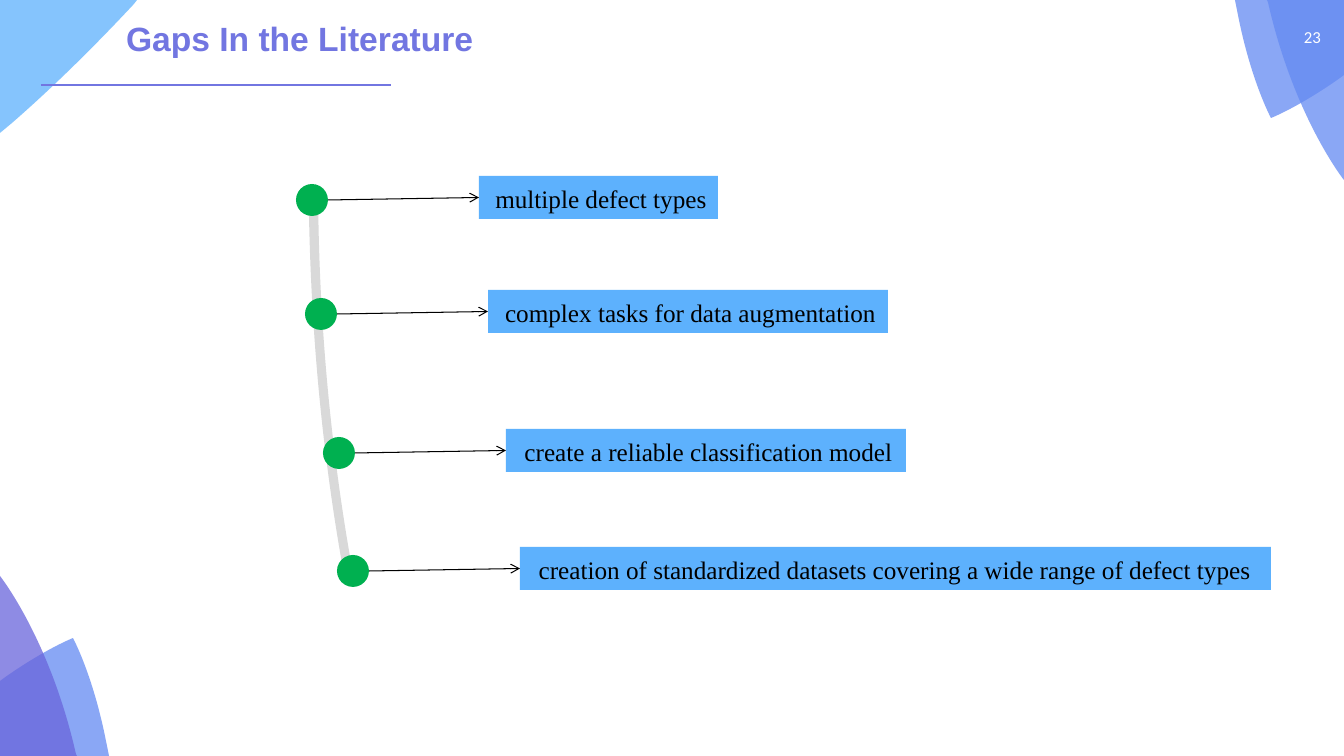
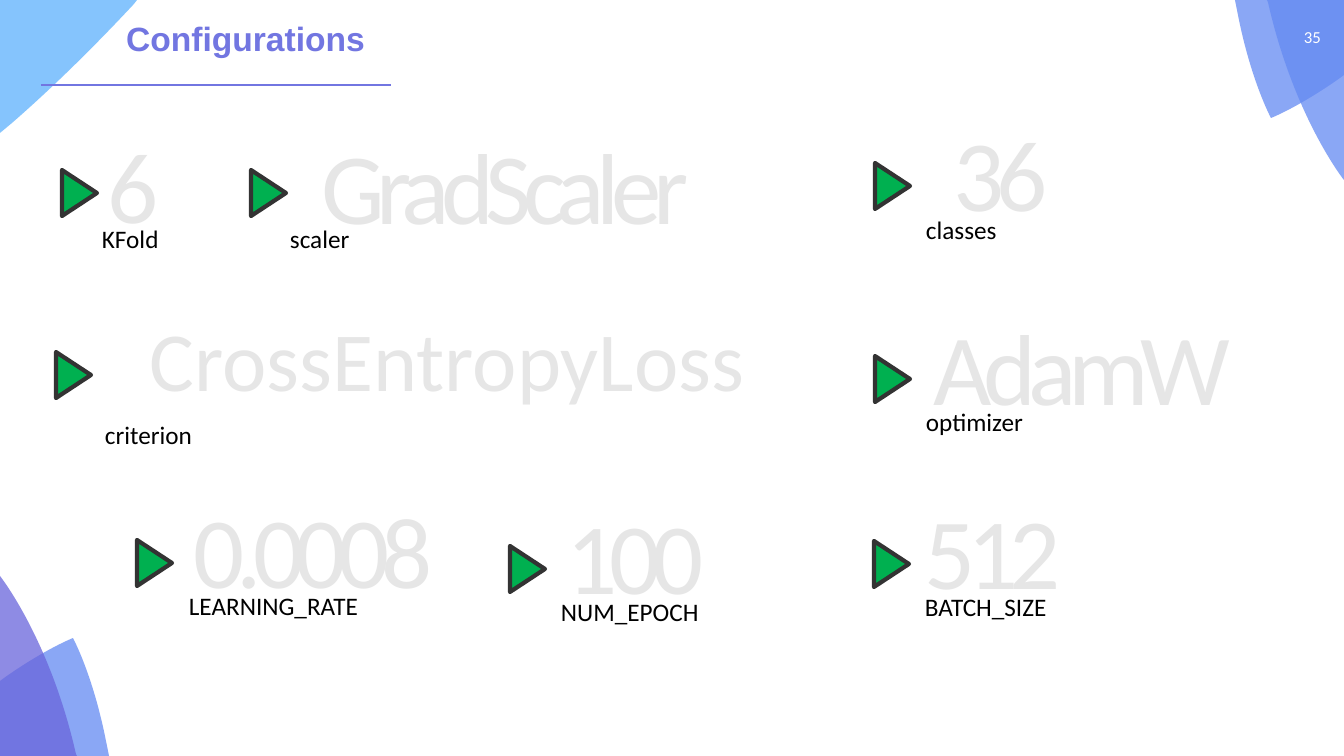
from lxml.etree import SubElement
from pptx import Presentation
from pptx.dml.color import RGBColor
from pptx.enum.shapes import MSO_CONNECTOR, MSO_SHAPE
from pptx.enum.text import MSO_ANCHOR, MSO_AUTO_SIZE, PP_ALIGN
from pptx.oxml.ns import qn
from pptx.util import Emu, Pt

# Scale and page
EMU_PER_PX = 914400 / 100.8
PAGE_W, PAGE_H = 1344, 756

# Colours
SKY = RGBColor(0x5D, 0xB1, 0xFD)
BLUE = RGBColor(0x64, 0x8A, 0xF2)
VIOLET = RGBColor(0x69, 0x65, 0xDB)
TITLE = RGBColor(0x72, 0x76, 0xE1)
GREEN = RGBColor(0x00, 0xB0, 0x50)
TRACK = RGBColor(0xD9, 0xD9, 0xD9)
PALE = RGBColor(0xE6, 0xE6, 0xE6)
DARK = RGBColor(0x33, 0x33, 0x33)
BLACK = RGBColor(0, 0, 0)
WHITE = RGBColor(0xFF, 0xFF, 0xFF)

# Outlines: a start point, then segments of one point (line) or three (curve)
OUTER_PETAL = [(1235, 0), [(1344, 0)], [(1344, 75)], [(1340, 78)],
               [(1299, 107), (1271, 118), (1271, 118)],
               [(1271, 118), (1251, 81), (1238, 15)]]
INNER_PETAL = [(1267, 0), [(1344, 0)], [(1344, 179)], [(1344, 180)],
               [(1344, 180), (1294, 117), (1268, 2)]]
CORNER = [(0, 133), [(12, 123)], [(51, 89), (92, 49), (134, 4)],
          [(137, 0)], [(0, 0)]]
# The track is outlined before its turn
ARC = [(302, 578), [(301, 578), (300, 579), (300, 579)],
       [(297, 577), (296, 572), (298, 567)],
       [(327, 448), (347, 325), (356, 198)],
       [(357, 193), (359, 189), (361, 190)],
       [(364, 192), (366, 194), (365, 199)],
       [(356, 328), (335, 454), (306, 574)],
       [(305, 577), (304, 579), (302, 578)]]
ARC_TURN = 165.8

# Gaps: text, dot left, dot top, box width
GAPS = [
    ("multiple defect types", 296, 184, 239),
    ("complex tasks for data augmentation", 305, 298, 400),
    ("create a reliable classification model", 323, 437, 400),
    ("creation of standardized datasets covering a wide range of defect types ",
     337, 555, 751),
]
DOT = 32
BOX_DX, BOX_DY, BOX_H = 183, -8, 43

# Settings: value, value box (left, top, width), label, label place, marker place
SETTINGS = [
    ("6", (99, 118, 69), "KFold", (92, 218), (62, 170)),
    ("GradScaler", (281, 119, 448), "scaler", (280, 218), (251, 170)),
    ("36", (942, 106, 117), "classes", (916, 209), (875, 163)),
    ("CrossEntropyLoss", (147, 303, 600), "criterion", (95, 414), (56, 352)),
    ("AdamW ", (909, 300, 360), "optimizer", (916, 401), (875, 356)),
    ("0.0008 ", (170, 483, 300), "LEARNING_RATE", (179, 585), (137, 540)),
    ("100", (553, 489, 164), "NUM_EPOCH", (551, 591), (510, 546)),
    ("512 ", (908, 484, 184), "BATCH_SIZE", (915, 586), (874, 541)),
]


def px(length):
    return Emu(round(length * EMU_PER_PX))


def half_turn(outline):
    """The outline turned by 180 degrees about the middle of the page."""
    def turn(point):
        return PAGE_W - point[0], PAGE_H - point[1]
    return [turn(outline[0])] + [[turn(p) for p in seg] for seg in outline[1:]]


def paint(shape, fill):
    shape.shadow.inherit = False
    shape.fill.solid()
    shape.fill.fore_color.rgb = fill
    shape.line.fill.background()
    return shape


def bend(shape, segments):
    """Join the lines of each three-point segment into one cubic curve."""
    lines = iter(list(shape.element.spPr.iter(qn("a:lnTo"))))
    for segment in segments:
        first, *others = [next(lines) for _ in segment]
        if others:
            first.tag = qn("a:cubicBezTo")
        for line in others:
            first.append(line[0])
            line.getparent().remove(line)


def add_outline(page, outline, fill, opacity=100):
    start, *segments = outline
    points = [(px(x), px(y)) for segment in segments for x, y in segment]
    builder = page.shapes.build_freeform(px(start[0]), px(start[1]), scale=1.0)
    builder.add_line_segments(points, close=True)
    shape = paint(builder.convert_to_shape(), fill)
    bend(shape, segments)
    if opacity < 100:
        color = shape.element.spPr.find(qn("a:solidFill"))[0]
        SubElement(color, qn("a:alpha")).set("val", str(opacity * 1000))
    return shape


def add_line(page, start, end, color, width, arrow=False):
    line = page.shapes.add_connector(
        MSO_CONNECTOR.STRAIGHT, *(px(n) for n in (*start, *end)))
    line.line.color.rgb = color
    line.line.width = Pt(width)
    if arrow:
        outline = line.element.spPr.find(qn("a:ln"))
        SubElement(outline, qn("a:tailEnd")).set("type", "arrow")
    SubElement(line.element.spPr, qn("a:effectLst"))
    return line


def write(shape, text, font, size, color, align=PP_ALIGN.LEFT, wrap=False):
    frame = shape.text_frame
    frame.text = text
    frame.word_wrap = wrap
    frame.auto_size = MSO_AUTO_SIZE.NONE
    para = frame.paragraphs[0]
    para.alignment = align
    span = para.runs[0]
    span.font.name = font
    span.font.size = Pt(size)
    span.font.color.rgb = color
    return span


def add_text(page, place, text, size, color, align=PP_ALIGN.LEFT, wrap=False):
    box = page.shapes.add_textbox(*(px(n) for n in place))
    return write(box, text, "Calibri", size, color, align, wrap)


def decorate_layout(layout, page):
    """Draw the shared decoration on a page, then move it to the layout."""
    for holder in list(layout.placeholders):
        if holder.placeholder_format.idx != 0:
            layout.shapes.element.remove(holder.element)
    parts = [add_outline(page, outline, fill, 75) for outline, fill in (
        (OUTER_PETAL, BLUE), (INNER_PETAL, BLUE),
        (half_turn(OUTER_PETAL), BLUE), (half_turn(INNER_PETAL), VIOLET),
        (CORNER, SKY))]
    parts.append(add_line(page, (41, 85), (391, 85), TITLE, 1.6))
    for part in parts:
        layout.shapes.element.append(part.element)


def add_page(deck, layout, title, number):
    page = deck.slides.add_slide(layout)
    holder = page.shapes.title
    holder.left, holder.top, holder.width, holder.height = map(px, (116, 13, 1207, 50))
    span = write(holder, title, "Arial", 24, TITLE, wrap=True)
    span.font.bold = True
    holder.text_frame.vertical_anchor = MSO_ANCHOR.TOP
    add_text(page, (1292, 22, 41, 30), number, 12, WHITE, PP_ALIGN.CENTER)
    return page


def add_gap(page, text, left, top, width):
    # Label box
    box = page.shapes.add_shape(
        MSO_SHAPE.RECTANGLE, px(left + BOX_DX), px(top + BOX_DY), px(width), px(BOX_H))
    paint(box, SKY)
    write(box, text, "Times New Roman", 18, BLACK, PP_ALIGN.CENTER)
    frame = box.text_frame
    frame.vertical_anchor = MSO_ANCHOR.MIDDLE
    frame.margin_left, frame.margin_top = px(15), px(12)
    frame.margin_right, frame.margin_bottom = px(10), px(5)
    frame.paragraphs[0].line_spacing = 0.8
    # Arrow and dot
    arrow = add_line(page, (left + DOT, top + DOT // 2),
                     (left + BOX_DX, top + BOX_DY + BOX_H // 2), BLACK, 0.75, arrow=True)
    arrow.end_connect(box, 1)
    paint(page.shapes.add_shape(
        MSO_SHAPE.OVAL, px(left), px(top), px(DOT), px(DOT)), GREEN)


def add_setting(page, value, value_place, label, label_place, marker_place):
    # Triangle marker
    x, y = marker_place
    marker = add_outline(page, [(x + 35, y + 23), [(x, y)], [(x, y + 46)]], GREEN)
    marker.line.color.rgb = DARK
    marker.line.width = Pt(3)
    # Large value, tightly spaced unless it is long
    is_long = len(value) > 12
    size, height = (60, 112) if is_long else (72, 132)
    span = add_text(page, (*value_place, height), value, size, PALE, PP_ALIGN.CENTER)
    if not is_long:
        span._r.get_or_add_rPr().set("spc", "-600")
    # Label
    add_text(page, (*label_place, 258, 40), label, 18, BLACK, wrap=True)


def main():
    deck = Presentation()
    deck.slide_width, deck.slide_height = px(PAGE_W), px(PAGE_H)
    layout = deck.slide_layouts[5]

    # Gaps in the literature
    page = add_page(deck, layout, "Gaps In the Literature", "23")
    decorate_layout(layout, page)
    add_outline(page, ARC, TRACK).rotation = ARC_TURN
    for gap in GAPS:
        add_gap(page, *gap)

    # Configurations
    page = add_page(deck, layout, "Configurations", "35")
    for setting in SETTINGS:
        add_setting(page, *setting)

    deck.save("out.pptx")


if __name__ == "__main__":
    main()
